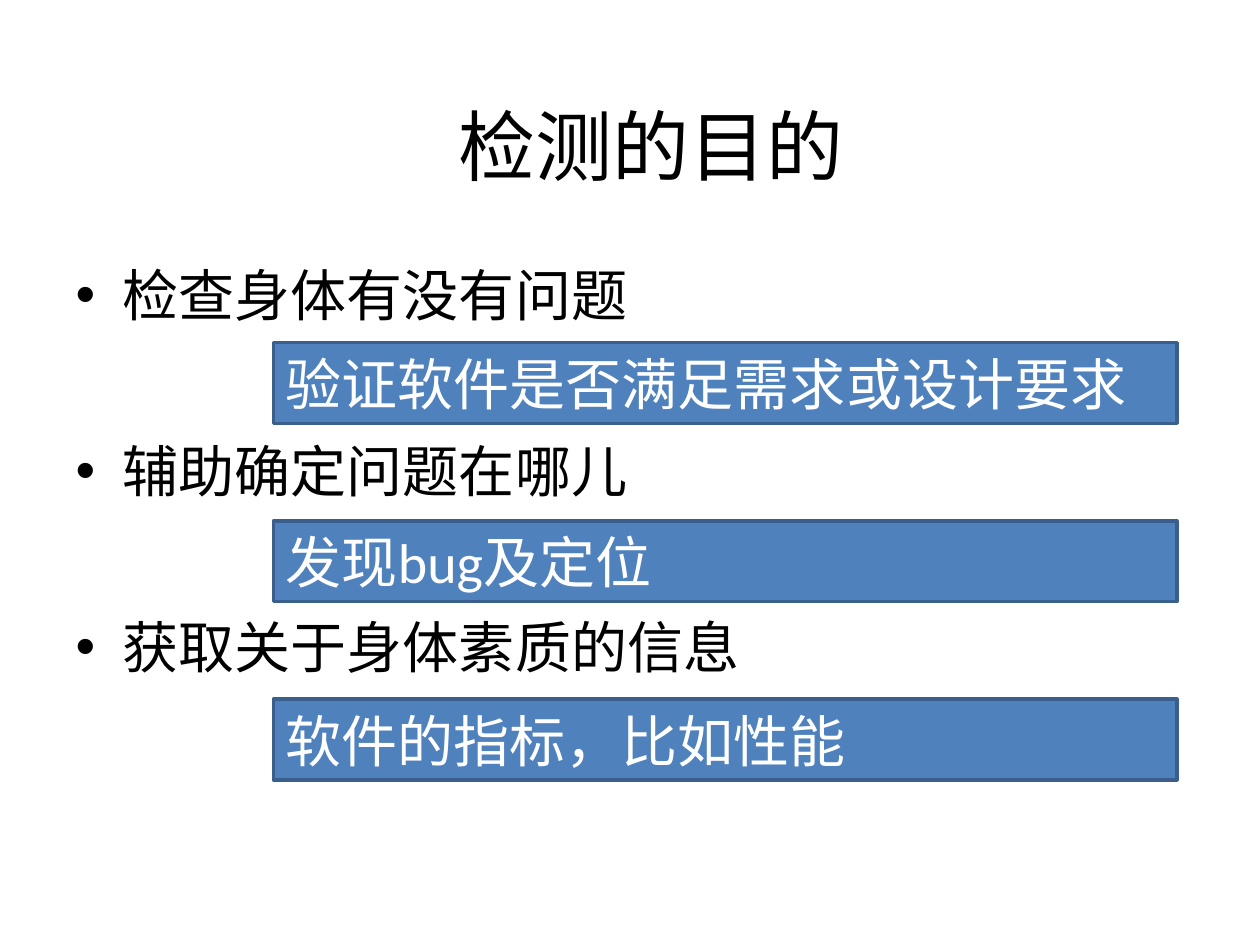
from pptx import Presentation
from pptx.dml.color import RGBColor
from pptx.enum.shapes import MSO_SHAPE
from pptx.enum.text import MSO_ANCHOR, PP_ALIGN
from pptx.util import Inches, Pt

RECT = MSO_SHAPE.RECTANGLE
MIDDLE = MSO_ANCHOR.MIDDLE
LEFT, CENTER = PP_ALIGN.LEFT, PP_ALIGN.CENTER
COLORS = {"text": "000000", "fill": "4F81BD", "line": "3A5F8C", "label": "FFFFFF"}
PAIRS = [
    ("检查身体有没有问题", "验证软件是否满足需求或设计要求"),
    ("辅助确定问题在哪儿", "发现bug及定位"),
    ("获取关于身体素质的信息", "软件的指标，比如性能"),
]


def color(name):
    return RGBColor.from_string(COLORS[name])


def write(para, text, size, ink, align):
    para.text = text
    para.alignment = align
    font = para.runs[0].font
    for key, value in {"name": "Calibri", "size": Pt(size)}.items():
        setattr(font, key, value)
    font.color.rgb = color(ink)


prs = Presentation()
prs.slide_width, prs.slide_height = Inches(10), Inches(7.5)
slide = prs.slides.add_slide(prs.slide_layouts[1])
title, body = slide.placeholders

title.left, title.top = Inches(0.67), Inches(0.52)
title.width, title.height = Inches(9), Inches(1.25)
title.text_frame.vertical_anchor = MIDDLE
write(title.text_frame.paragraphs[0], "检测的目的", 44, "text", CENTER)

body.left, body.top = Inches(0.5), Inches(2.02)
body.width, body.height = Inches(9), Inches(4.68)
frame = body.text_frame

for i, (goal, label) in enumerate(PAIRS):
    para = frame.add_paragraph() if i else frame.paragraphs[0]
    write(para, goal, 32, "text", LEFT)
    para.space_before = Pt(0)
    # Room for the box below each goal
    para.space_after = Pt(62 if i < len(PAIRS) - 1 else 0)

    box = slide.shapes.add_shape(
        RECT, Inches(2.17), Inches(2.72 + 1.415 * i), Inches(7.17), Inches(0.64)
    )
    box.shadow.inherit = False
    box.fill.solid()
    box.fill.fore_color.rgb = color("fill")
    box.line.color.rgb = color("line")
    box.line.width = Pt(2)
    box.text_frame.word_wrap = True
    box.text_frame.vertical_anchor = MIDDLE
    write(box.text_frame.paragraphs[0], label, 32, "label", LEFT)

prs.save("out.pptx")
